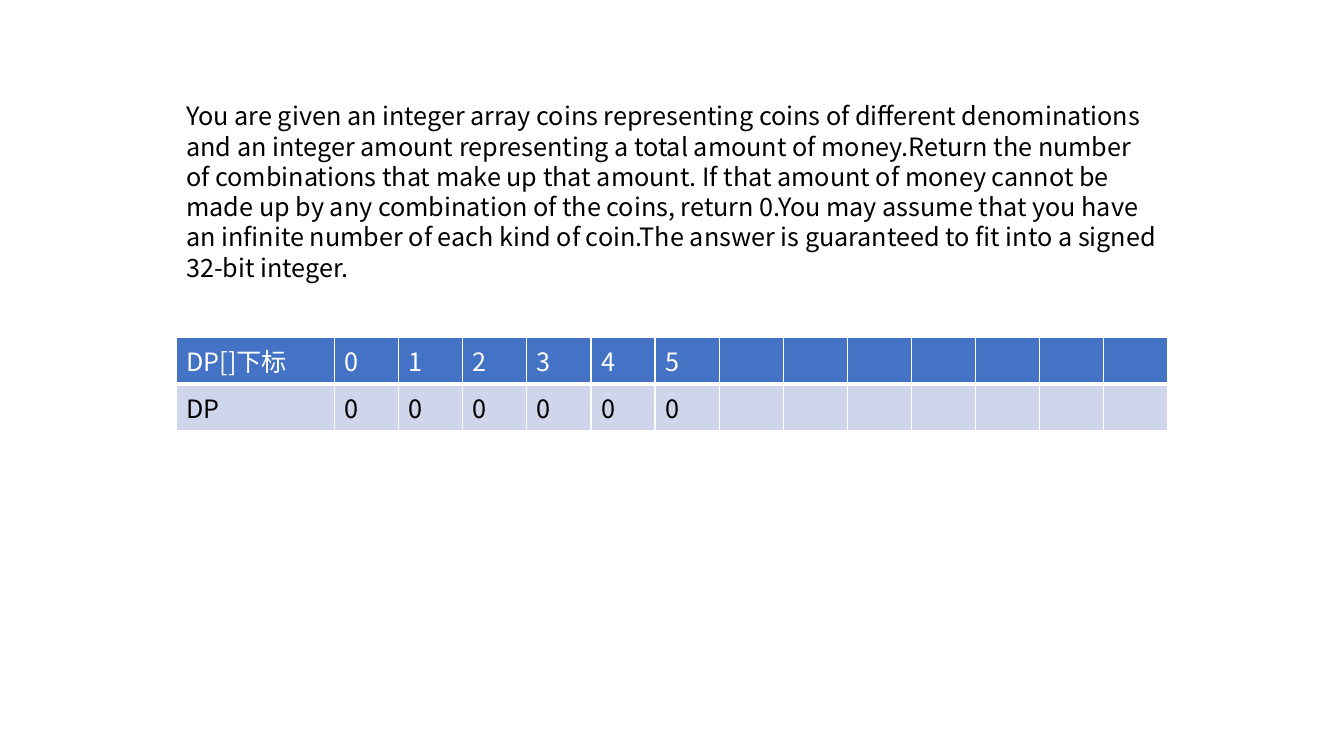
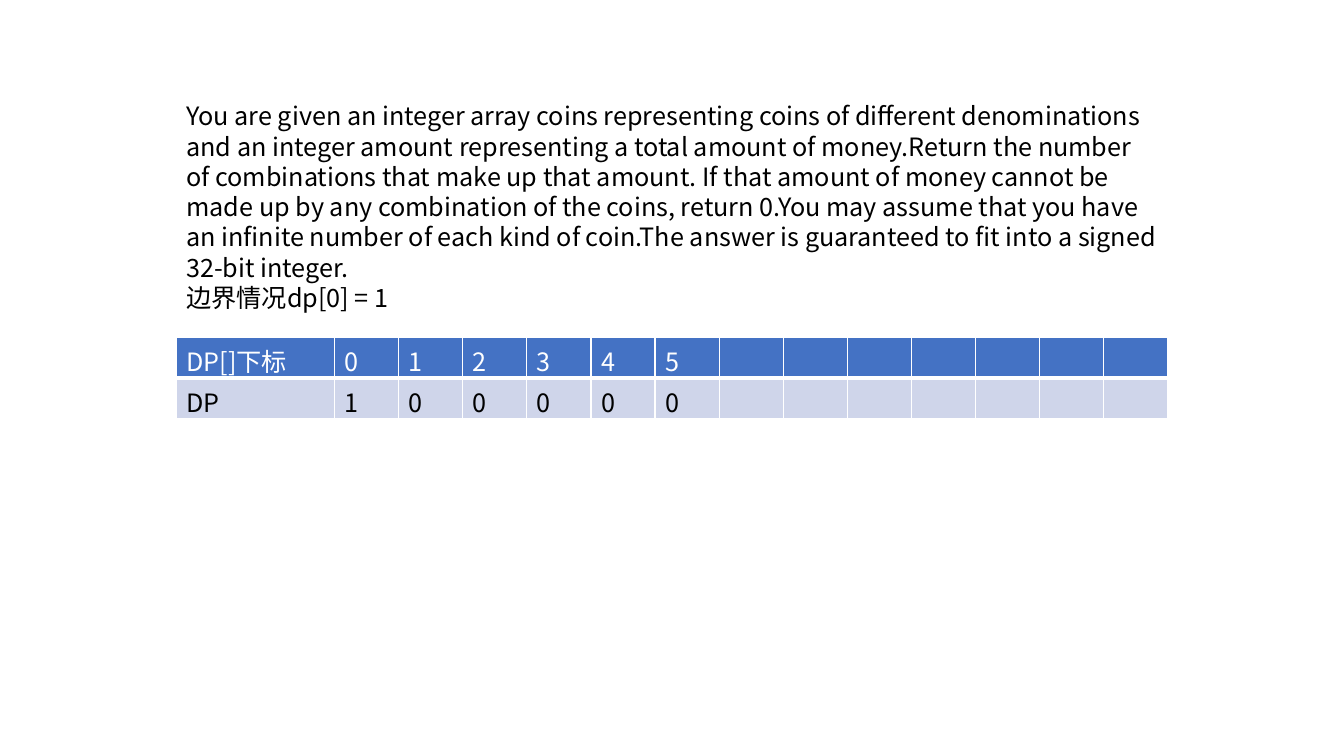
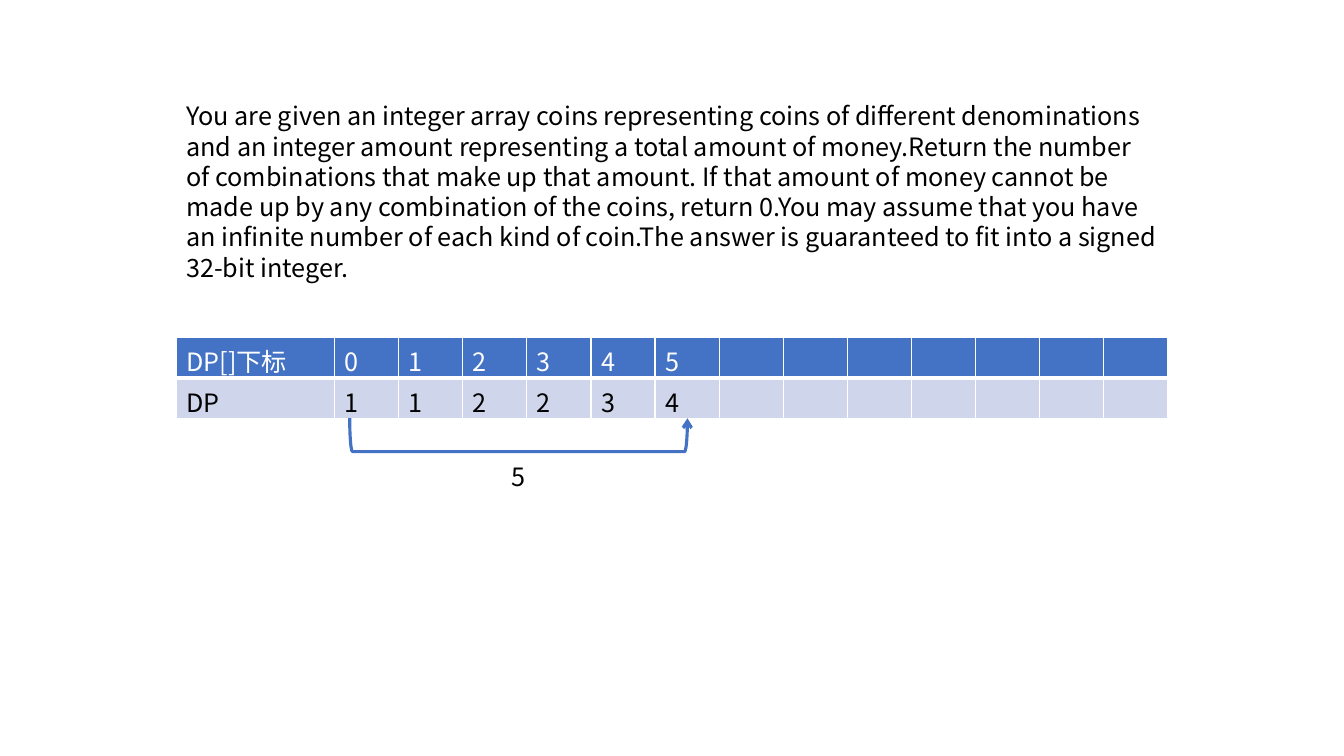
from lxml.etree import SubElement
from pptx import Presentation
from pptx.dml.color import RGBColor
from pptx.enum.shapes import MSO_SHAPE
from pptx.enum.text import MSO_AUTO_SIZE
from pptx.oxml.ns import qn
from pptx.util import Pt

COLORS = {"header": "4472C4", "body": "CFD5EA", "white": "FFFFFF", "black": "000000"}
FONT = "Noto Sans CJK SC"
TEXT_FORMAT = {"name": FONT, "size": Pt(18), "bold": False}
BOX_FORMAT = {"word_wrap": True, "auto_size": MSO_AUTO_SIZE.SHAPE_TO_FIT_TEXT}
TABLE_FORMAT = {"first_row": False, "horz_banding": False}
LINE_PITCH = 21.6

LEFT = 126
WIDTH = 708.4
TABLE_TOP = 240.8
ROW_HEIGHT = 29.2
LABEL_WIDTH = 113
VALUE_COLUMNS = 13
VALUE_WIDTH = (WIDTH - LABEL_WIDTH) / VALUE_COLUMNS

PROBLEM = (
    "You are given an integer array coins representing coins of different denominations "
    "and an integer amount representing a total amount of money.Return the number of "
    "combinations that make up that amount. If that amount of money cannot be made up by "
    "any combination of the coins, return 0.You may assume that you have an infinite number "
    "of each kind of coin.The answer is guaranteed to fit into a signed 32-bit integer."
)
BOUNDARY = "边界情况dp[0] = 1"
INDEXES = ["DP[]下标", *"012345"]
STEPS = [
    ([PROBLEM], "000000"),
    ([PROBLEM, BOUNDARY], "100000"),
    ([PROBLEM], "112234"),
]


def color(name):
    return RGBColor.from_string(COLORS[name])


def apply(target, values):
    for name, value in values.items():
        setattr(target, name, value)


def add_span(para, text, color_name):
    span = para.add_run()
    span.text = text
    apply(span.font, TEXT_FORMAT)
    span.font.color.rgb = color(color_name)
    SubElement(span.font._element, qn("a:ea"), typeface=FONT)


def add_text(page, left, top, width, height, lines):
    box = page.shapes.add_textbox(Pt(left), Pt(top), Pt(width), Pt(height))
    frame = box.text_frame
    apply(frame, BOX_FORMAT)
    for number, line in enumerate(lines):
        para = frame.add_paragraph() if number else frame.paragraphs[0]
        para.line_spacing = Pt(LINE_PITCH)
        add_span(para, line, "black")


def set_borders(cell, bottom_width):
    properties = cell._tc.get_or_add_tcPr()
    widths = {"a:lnL": 1, "a:lnR": 1, "a:lnT": 1, "a:lnB": bottom_width}
    for position, (tag, width) in enumerate(widths.items()):
        line = SubElement(properties, qn(tag), w=str(Pt(width)))
        fill = SubElement(line, qn("a:solidFill"))
        SubElement(fill, qn("a:srgbClr"), val=COLORS["white"])
        properties.insert(position, line)


def add_dp_table(page, values):
    table = page.shapes.add_table(
        2, VALUE_COLUMNS + 1, Pt(LEFT), Pt(TABLE_TOP), Pt(WIDTH), Pt(2 * ROW_HEIGHT)
    ).table
    apply(table, TABLE_FORMAT)
    for number, column in enumerate(table.columns):
        column.width = Pt(VALUE_WIDTH if number else LABEL_WIDTH)
    rows = [
        (INDEXES, "header", "white", 3),
        (["DP", *values], "body", "black", 1),
    ]
    for row, (texts, fill, text_color, bottom_width) in zip(table.rows, rows):
        row.height = Pt(ROW_HEIGHT)
        for number, cell in enumerate(row.cells):
            cell.fill.solid()
            cell.fill.fore_color.rgb = color(fill)
            set_borders(cell, bottom_width)
            if number < len(texts):
                add_span(cell.text_frame.paragraphs[0], texts[number], text_color)


def add_bracket_arrow(page, left, top, width, height):
    bracket = page.shapes.add_shape(
        MSO_SHAPE.LEFT_BRACKET,
        Pt(left + (width - height) / 2), Pt(top - (width - height) / 2),
        Pt(height), Pt(width),
    )
    bracket.rotation = 270
    bracket._element.spPr.xfrm.set("flipV", "1")
    bracket.shadow.inherit = False
    bracket.fill.background()
    bracket.line.color.rgb = color("header")
    bracket.line.width = Pt(2.25)
    SubElement(bracket.line._get_or_add_ln(), qn("a:tailEnd"), type="arrow")


def main():
    deck = Presentation()
    apply(deck, {"slide_width": Pt(960), "slide_height": Pt(540)})
    for lines, values in STEPS:
        page = deck.slides.add_slide(deck.slide_layouts[6])
        add_dp_table(page, values)
        add_text(page, LEFT, 68.4, WIDTH, 7.2 + LINE_PITCH * (5 + len(lines)), lines)
    add_bracket_arrow(page, 249.8, 298.8, 241.2, 23.8)
    add_text(page, 358.6, 326.2, 24.5, 28.8, ["5"])
    deck.save("out.pptx")


if __name__ == "__main__":
    main()
